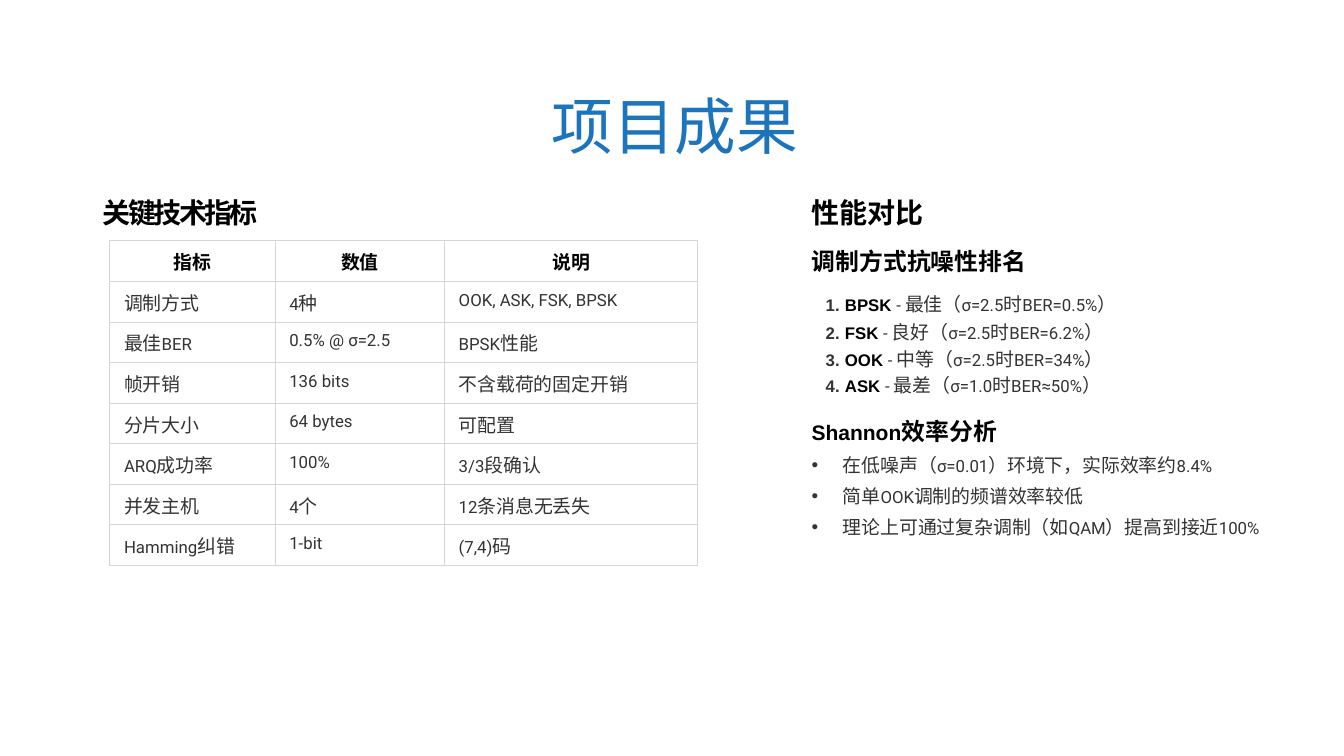
from dataclasses import dataclass
from itertools import groupby

from lxml.etree import SubElement
from pptx import Presentation
from pptx.dml.color import RGBColor
from pptx.enum.text import MSO_ANCHOR, MSO_AUTO_SIZE, PP_ALIGN
from pptx.oxml.ns import qn
from pptx.util import Inches, Pt

COLORS = {"title": "1C75BC", "heading": "000000", "body": "333333", "border": "D5D5D5"}


@dataclass(frozen=True)
class Style:
    cjk_size: float
    latin_size: float
    color: str
    cjk_font: str = "Noto Sans CJK TC"
    latin_font: str = "Arial"
    bold: bool = False


@dataclass(frozen=True)
class Line:
    text: str
    style: Style
    before: float = 0
    lead: str = ""
    bullet: str = "none"


TITLE = Style(44, 44, "title", "Noto Sans CJK KR")
HEADING = Style(20, 20, "heading", bold=True)
SUBHEADING = Style(17, 15, "heading", bold=True)
LABEL = Style(13.5, 12, "heading", bold=True)
BODY = Style(13.5, 12, "body", "Noto Sans CJK SC", "Roboto")

# Bullet kind: left margin and hanging indent in inches
INDENTS = {"none": (0.02, 0), "number": (0.35, -0.19), "dot": (0.33, -0.31)}

METRICS = [
    ("指标", "数值", "说明"),
    ("调制⽅式", "4种", "OOK, ASK, FSK, BPSK"),
    ("最佳BER", "0.5% @ σ=2.5", "BPSK性能"),
    ("帧开销", "136 bits", "不含载荷的固定开销"),
    ("分⽚⼤⼩", "64 bytes", "可配置"),
    ("ARQ成功率", "100%", "3/3段确认"),
    ("并发主机", "4个", "12条消息⽆丢失"),
    ("Hamming纠错", "1-bit", "(7,4)码"),
]
COLUMN_WIDTHS = (1.64, 1.68, 2.51)
TABLE_HEIGHT = 3.22

COMPARISON = [
    Line("性能对⽐", HEADING),
    Line("调制⽅式抗噪性排名", SUBHEADING, 12.8),
    Line("- 最佳（σ=2.5时BER=0.5%）", BODY, 12.3, "BPSK ", "number"),
    Line("- 良好（σ=2.5时BER=6.2%）", BODY, 3.3, "FSK ", "number"),
    Line("- 中等（σ=2.5时BER=34%）", BODY, 3.3, "OOK ", "number"),
    Line("- 最差（σ=1.0时BER≈50%）", BODY, 2.5, "ASK ", "number"),
    Line("Shannon效率分析", SUBHEADING, 14.5),
    Line("在低噪声（σ=0.01）环境下，实际效率约8.4%", BODY, 6, bullet="dot"),
    Line("简单OOK调制的频谱效率较低", BODY, 6, bullet="dot"),
    Line("理论上可通过复杂调制（如QAM）提⾼到接近100%", BODY, 6, bullet="dot"),
]


def is_cjk(char: str) -> bool:
    return ord(char) >= 0x2E80


def add_text(paragraph, text: str, style: Style) -> None:
    """Add runs, split where the script changes between CJK and Latin."""
    for cjk, chars in groupby(text, is_cjk):
        run = paragraph.add_run()
        run.text = "".join(chars)
        font = run.font
        font.name = style.cjk_font if cjk else style.latin_font
        font.size = Pt(style.cjk_size if cjk else style.latin_size)
        font.bold = style.bold
        font.color.rgb = RGBColor.from_string(COLORS[style.color])
        if cjk:
            SubElement(font._element, qn("a:ea"), typeface=style.cjk_font)


def add_bullet(paragraph, kind: str) -> None:
    margin, indent = INDENTS[kind]
    props = paragraph._p.get_or_add_pPr()
    props.set("marL", str(Inches(margin)))
    props.set("indent", str(Inches(indent)))
    if kind == "none":
        return
    color = SubElement(props, qn("a:buClr"))
    SubElement(color, qn("a:srgbClr"), val=COLORS["body"])
    SubElement(props, qn("a:buFont"), typeface="Arial")
    if kind == "number":
        SubElement(props, qn("a:buAutoNum"), type="arabicPeriod")
    else:
        SubElement(props, qn("a:buChar"), char="•")


def clear_margins(frame) -> None:
    frame.margin_left = frame.margin_right = 0
    frame.margin_top = frame.margin_bottom = 0


def add_lines(slide, left: float, top: float, width: float, height: float,
              lines: list[Line]):
    box = slide.shapes.add_textbox(Inches(left), Inches(top), Inches(width), Inches(height))
    frame = box.text_frame
    frame.word_wrap = True
    clear_margins(frame)
    frame.margin_top = Inches(0.02)
    for index, line in enumerate(lines):
        paragraph = frame.add_paragraph() if index else frame.paragraphs[0]
        if index:
            paragraph.space_before = Pt(line.before)
        add_bullet(paragraph, line.bullet)
        add_text(paragraph, line.lead, LABEL)
        add_text(paragraph, line.text, line.style)
    return frame


def add_borders(cell) -> None:
    props = cell._tc.get_or_add_tcPr()
    for index, side in enumerate(("lnL", "lnR", "lnT", "lnB")):
        border = props.makeelement(qn(f"a:{side}"), {"w": str(Pt(0.75))})
        fill = SubElement(border, qn("a:solidFill"))
        SubElement(fill, qn("a:srgbClr"), val=COLORS["border"])
        props.insert(index, border)


def add_metrics_table(slide, left: float, top: float) -> None:
    table = slide.shapes.add_table(
        len(METRICS), len(COLUMN_WIDTHS), Inches(left), Inches(top),
        Inches(sum(COLUMN_WIDTHS)), Inches(TABLE_HEIGHT)).table
    table.first_row = table.horz_banding = False
    for column, width in zip(table.columns, COLUMN_WIDTHS):
        column.width = Inches(width)
    for row_index, row in enumerate(METRICS):
        table.rows[row_index].height = Inches(TABLE_HEIGHT / len(METRICS))
        for column_index, text in enumerate(row):
            cell = table.cell(row_index, column_index)
            clear_margins(cell)
            cell.margin_top = Inches(0.07 if any(map(is_cjk, text)) else 0.09)
            cell.fill.background()
            add_borders(cell)
            paragraph = cell.text_frame.paragraphs[0]
            if row_index == 0:
                paragraph.alignment = PP_ALIGN.CENTER
            else:
                cell.margin_left = Inches(0.14)
            add_text(paragraph, text, BODY if row_index else LABEL)


def main() -> None:
    presentation = Presentation()
    presentation.slide_width, presentation.slide_height = Inches(13.33), Inches(7.5)
    slide = presentation.slides.add_slide(presentation.slide_layouts[5])

    # Title
    title = slide.shapes.title
    title.left, title.top = Inches(5.36), Inches(0.82)
    title.width, title.height = Inches(3.5), Inches(0.84)
    frame = title.text_frame
    clear_margins(frame)
    frame.margin_left = Inches(0.11)
    frame.auto_size = MSO_AUTO_SIZE.NONE
    frame.vertical_anchor = MSO_ANCHOR.MIDDLE
    frame.paragraphs[0].alignment = PP_ALIGN.LEFT
    add_text(frame.paragraphs[0], "项目成果", TITLE)

    # Key metrics on the left, with a tightly spaced heading
    add_metrics_table(slide, 1.09, 2.39)
    metrics_heading = add_lines(slide, 1, 1.92, 1.69, 0.37, [Line("关键技术指标", HEADING)])
    for run in metrics_heading.paragraphs[0].runs:
        run.font._element.set("spc", "-190")

    # Performance comparison on the right
    add_lines(slide, 8.03, 1.92, 4.79, 3.45, COMPARISON)

    presentation.save("out.pptx")


if __name__ == "__main__":
    main()
